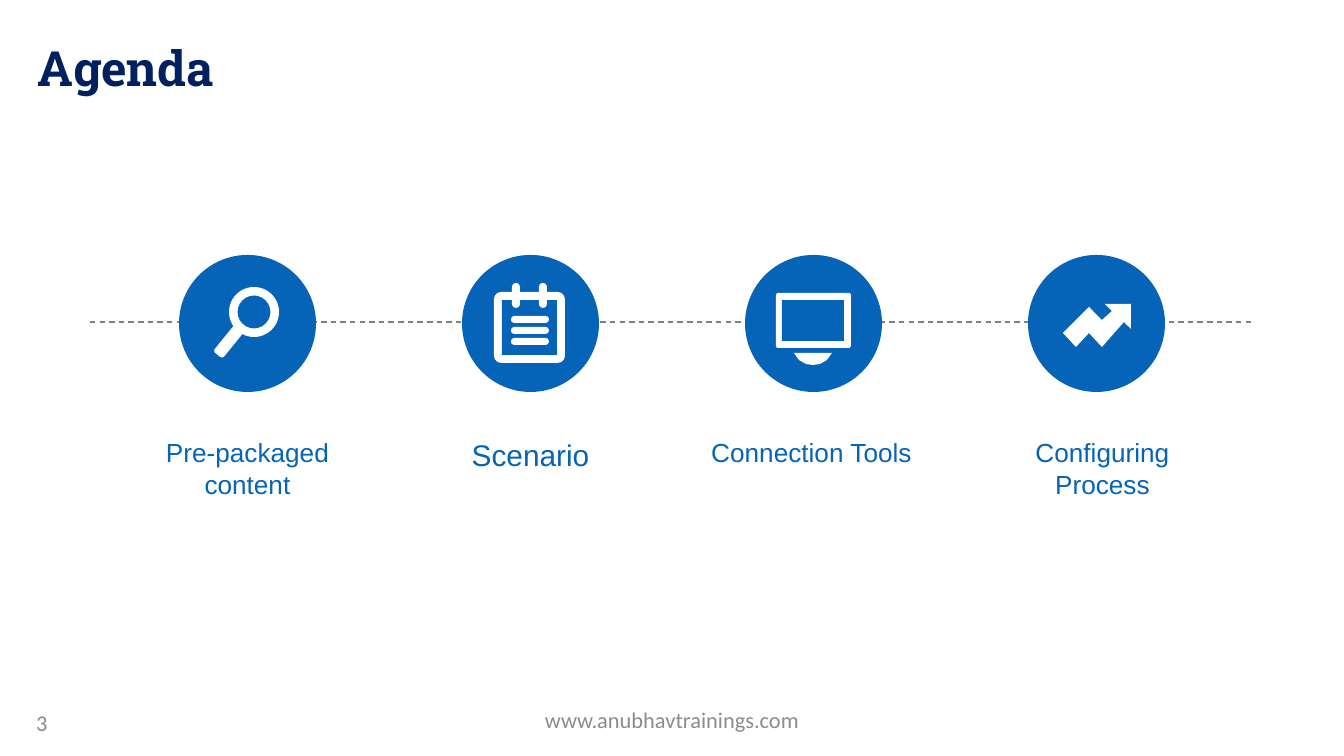
from lxml import etree
from pptx import Presentation
from pptx import util as u
from pptx.dml.color import RGBColor
from pptx.enum import dml, shapes, text
from pptx.oxml.ns import qn

PX = 914400 / 134.4
BLUE, WHITE, NAVY, GREY = "0563B8", "FFFFFF", "002060", "8C8C8C"
M = shapes.MSO_SHAPE
LEFT, CENTER = text.PP_ALIGN.LEFT, text.PP_ALIGN.CENTER


def px(*values):
    return [u.Emu(round(v * PX)) for v in values]


def rgb(color):
    return RGBColor.from_string(color)


prs = Presentation()
prs.slide_width, prs.slide_height = px(1344, 756)
s = prs.slides.add_slide(prs.slide_layouts[6])

# Timeline
line = s.shapes.add_connector(shapes.MSO_CONNECTOR.STRAIGHT, *px(90, 322, 1254, 322))
line.line.color.rgb = rgb("808080")
line.line.width = u.Pt(0.75)
line.line.dash_style = dml.MSO_LINE.DASH
etree.SubElement(line._element.spPr, qn("a:effectLst"))

# Circles and icon parts: preset, box, colour, adjustment, rotation
parts = [(M.OVAL, (179 + 283 * i, 255, 137, 137), BLUE, None, 0) for i in range(4)]
parts += [
    # magnifier
    (M.DONUT, (229, 287, 50, 50), WHITE, 0.17, 0),
    (M.ROUNDED_RECTANGLE, (223, 323, 12, 36), WHITE, 0.25, 39),
    # notepad
    (M.ROUNDED_RECTANGLE, (494, 292, 71, 71), WHITE, 0.1, 0),
    (M.RECTANGLE, (502, 300, 55, 55), BLUE, None, 0),
    # monitor
    (M.ROUNDED_RECTANGLE, (776, 293, 75, 55), WHITE, 0.04, 0),
    (M.RECTANGLE, (782, 300, 62, 41), BLUE, None, 0),
]
parts += [(M.ROUNDED_RECTANGLE, (x, 283, 8, 25), WHITE, 0.5, 0) for x in (512, 539)]
parts += [(M.ROUNDED_RECTANGLE, (511, 316 + 11 * i, 38, 7), WHITE, 0.5, 0) for i in range(3)]

drawn = []
for kind, box, color, adjustment, rotation in parts:
    sp = s.shapes.add_shape(kind, *px(*box))
    if adjustment is not None:
        sp.adjustments[0] = adjustment
    sp.rotation = rotation
    drawn.append((sp, color))

monitor_stand = [(794, 353), (832, 353), (827, 360), (820, 364), (813, 365),
                 (806, 364), (799, 360)]
trend_arrow = [(1105, 304), (1131, 304), (1131, 329), (1124, 322), (1102, 347),
               (1089, 333), (1076, 347), (1063, 333), (1089, 307), (1102, 320),
               (1112, 311)]
for points in (monitor_stand, trend_arrow):
    builder = s.shapes.build_freeform(*points[0], scale=PX)
    builder.add_line_segments(points[1:], close=True)
    drawn.append((builder.convert_to_shape(), WHITE))

for sp, color in drawn:
    sp.shadow.inherit = False
    sp.fill.solid()
    sp.fill.fore_color.rgb = rgb(color)
    sp.line.fill.background()

# Texts: wording, box, size, font, colour, alignment, anchor
TOP, MIDDLE = text.MSO_ANCHOR.TOP, text.MSO_ANCHOR.MIDDLE
texts = [
    ("Agenda", (24, 31, 1210, 78), 26, "Roboto Slab", NAVY, LEFT, TOP),
    ("www.anubhavtrainings.com", (459, 700, 426, 40), 12, "Calibri", GREY, CENTER, MIDDLE),
    ("3", (23, 703, 313, 40), 12, "Calibri", GREY, LEFT, MIDDLE),
]
labels = [("Pre-packaged content", 130, 77, 14), ("Scenario", 413, 50, 16),
          ("Connection Tools", 694, 46, 14), ("Configuring Process", 985, 77, 14)]
texts += [(label, (x, 430, 235, h), size, "Arial", BLUE, CENTER, TOP)
          for label, x, h, size in labels]

for words, box, size, font, color, align, anchor in texts:
    tf = s.shapes.add_textbox(*px(*box)).text_frame
    tf.word_wrap = True
    tf.vertical_anchor = anchor
    p = tf.paragraphs[0]
    p.text = words
    p.alignment = align
    p.font.size = u.Pt(size)
    p.font.name = font
    p.font.bold = words == "Agenda"
    p.font.color.rgb = rgb(color)

prs.save("out.pptx")
